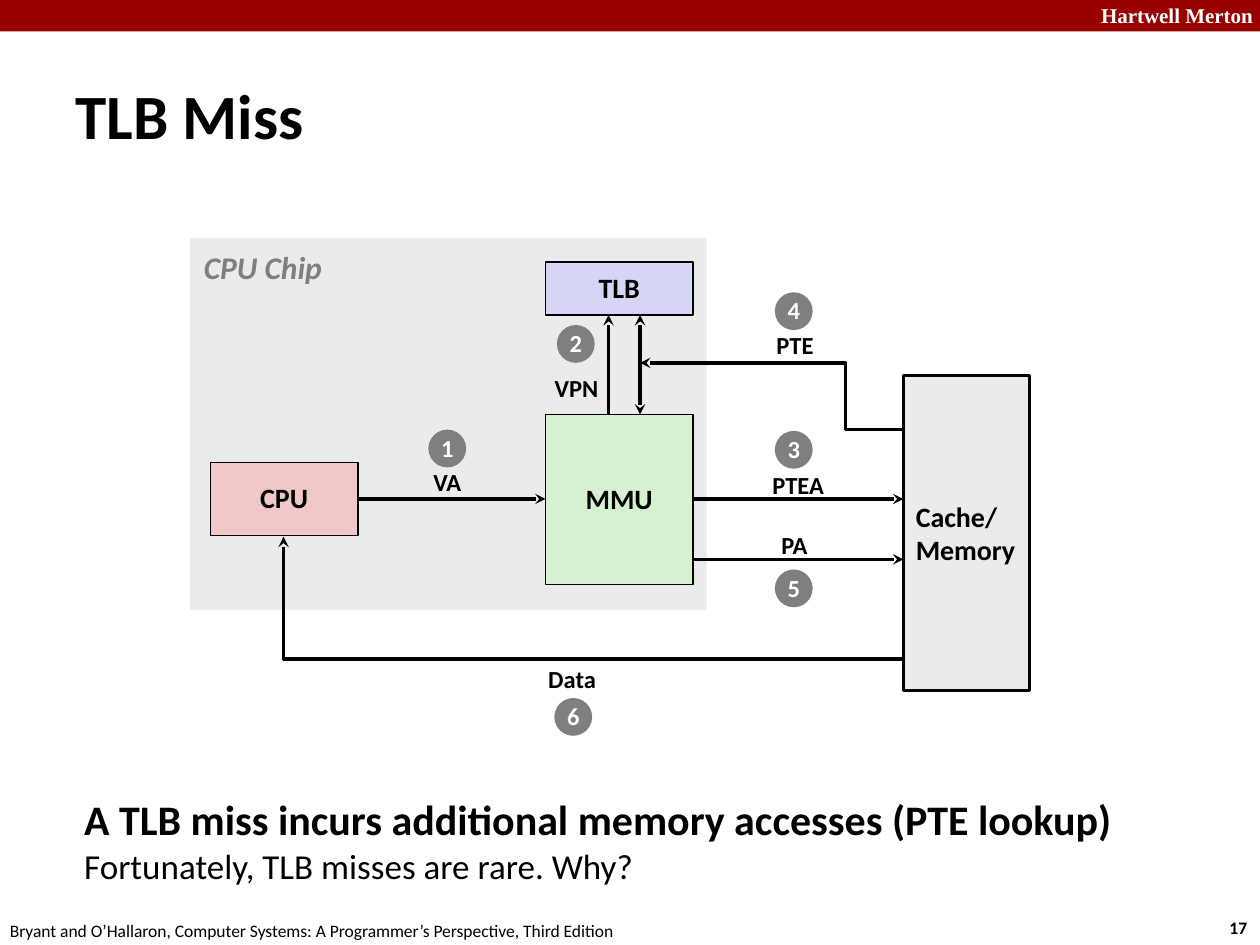
"""Builds a slide on what happens on a TLB miss."""
from lxml.etree import SubElement
from pptx import Presentation
from pptx.dml.color import RGBColor
from pptx.enum.shapes import MSO_CONNECTOR as Connector, MSO_SHAPE as Shape
from pptx.enum.text import MSO_ANCHOR as Anchor, PP_ALIGN as Align
from pptx.oxml.ns import qn
from pptx.util import Inches, Pt

COLORS = {
    "black": "000000",
    "white": "FFFFFF",
    "banner": "990000",
    "panel": "EBEBEB",
    "gray": "7F7F7F",
    "cpu": "F1C7C7",
    "mmu": "D5F1CF",
    "tlb": "D5D5F4",
}


class SlideBuilder:
    font_name = "Calibri"
    line_width = 2
    badge_size = 0.3

    def __init__(self, slide):
        self.slide = slide

    def color(self, name):
        return RGBColor.from_string(COLORS[name])

    def style(self, paragraph, size, color="black", bold=True, italic=False, font=None):
        paragraph.font.name = font or self.font_name
        paragraph.font.size = Pt(size)
        paragraph.font.bold = bold
        paragraph.font.italic = italic
        paragraph.font.color.rgb = self.color(color)

    def fill_text(self, shape, text, size, align=Align.CENTER, wrap=False, **font):
        frame = shape.text_frame
        frame.text = text
        frame.word_wrap = wrap
        for paragraph in frame.paragraphs:
            paragraph.alignment = align
            if align == Align.CENTER:
                paragraph.line_spacing = 0.98
            self.style(paragraph, size, **font)

    def title(self, text, left, top, width, height):
        shape = self.slide.shapes.title
        shape.left, shape.top = Inches(left), Inches(top)
        shape.width, shape.height = Inches(width), Inches(height)
        self.fill_text(shape, text, 36, align=Align.LEFT, wrap=True)
        shape.text_frame.vertical_anchor = Anchor.MIDDLE
        properties = shape.text_frame.paragraphs[0]._p.get_or_add_pPr()
        properties.set("marL", str(Inches(0.13)))
        properties.set("indent", str(-Inches(0.13)))

    def text(self, text, left, top, width, height, size, **options):
        shape = self.slide.shapes.add_textbox(
            Inches(left), Inches(top), Inches(width), Inches(height))
        self.fill_text(shape, text, size, **{"align": Align.LEFT, **options})
        return shape

    def label(self, text, left, top, width):
        shape = self.text(text, left, top, width, 0.33, 14, align=Align.CENTER)
        shape.text_frame.vertical_anchor = Anchor.MIDDLE

    def box(self, left, top, width, height, fill, text="", border=None,
            kind=Shape.RECTANGLE, size=16, **options):
        shape = self.slide.shapes.add_shape(
            kind, Inches(left), Inches(top), Inches(width), Inches(height))
        shape.shadow.inherit = False
        shape.fill.solid()
        shape.fill.fore_color.rgb = self.color(fill)
        if border:
            shape.line.color.rgb = self.color("black")
            shape.line.width = Pt(border)
        else:
            shape.line.fill.background()
        if text:
            self.fill_text(shape, text, size, **options)
            shape.text_frame.vertical_anchor = Anchor.MIDDLE

    def badge(self, number, left, top):
        self.box(left, top, self.badge_size, self.badge_size, "gray", str(number),
                 kind=Shape.OVAL, size=14, color="white")

    def arrow(self, start, end, kind=Connector.STRAIGHT, both=False):
        connector = self.slide.shapes.add_connector(
            kind, *(Inches(value) for value in (*start, *end)))
        connector.line.color.rgb = self.color("black")
        connector.line.width = Pt(self.line_width)
        properties = connector._element.spPr
        line = properties.find(qn("a:ln"))
        for tag in ("a:headEnd", "a:tailEnd") if both else ("a:tailEnd",):
            SubElement(line, qn(tag), type="stealth")
        SubElement(properties, qn("a:effectLst"))
        return connector

    def elbow(self, start, end, preset, bend=None):
        connector = self.arrow(end, start, Connector.ELBOW)
        properties = connector._element.spPr
        properties.find(qn("a:xfrm")).set("rot", str(180 * 60000))
        geometry = properties.find(qn("a:prstGeom"))
        geometry.set("prst", preset)
        if bend is not None:
            guides = geometry.find(qn("a:avLst"))
            if guides is None:
                guides = SubElement(geometry, qn("a:avLst"))
            SubElement(guides, qn("a:gd"), name="adj1", fmla=f"val {round(bend * 100000)}")


def main():
    presentation = Presentation()
    presentation.slide_width, presentation.slide_height = Inches(10), Inches(7.5)
    slide = presentation.slides.add_slide(presentation.slide_layouts[5])
    builder = SlideBuilder(slide)

    builder.box(0, 0, 10, 0.25, "banner")
    builder.text("Hartwell Merton", 8.64, -0.03, 1.43, 0.3, 12,
                 color="white", font="Times New Roman")
    builder.text("17", 9.66, 7.23, 0.37, 0.27, 10)
    builder.text("Bryant and O’Hallaron, Computer Systems: A Programmer’s Perspective, "
                 "Third Edition", -0.02, 7.25, 5.08, 0.27, 10, bold=False)
    builder.title("TLB Miss", 0.5, 0.48, 9.53, 0.86)

    builder.box(1.51, 1.89, 4.1, 2.95, "panel")
    builder.text("CPU Chip", 1.52, 1.92, 1.16, 0.4, 18, color="gray", italic=True)
    builder.box(4.33, 3.29, 1.17, 1.35, "mmu", "MMU", border=1)
    builder.box(7.17, 2.98, 1, 2.5, "panel", "Cache/\nMemory", border=1.5, align=Align.LEFT)
    builder.box(1.67, 3.67, 1.17, 0.58, "cpu", "CPU", border=1)
    builder.box(4.33, 2.08, 1.17, 0.42, "tlb", "TLB", border=1)

    builder.arrow((2.84, 3.96), (4.33, 3.96))
    builder.arrow((5.5, 3.96), (7.17, 3.96))
    builder.arrow((5.5, 4.44), (7.17, 4.44))
    builder.arrow((4.83, 3.29), (4.83, 2.5))
    builder.arrow((5.08, 2.5), (5.08, 3.29), both=True)
    builder.elbow((7.17, 5.23), (2.25, 4.26), "bentConnector2")
    builder.elbow((7.17, 3.41), (5.08, 2.88), "bentConnector3", bend=0.22)

    steps = [
        ("VA", 3.34, 3.67, 0.42, 3.4, 3.41),
        ("VPN", 4.3, 2.92, 0.55, 4.42, 2.58),
        ("PTEA", 6.03, 3.69, 0.61, 6.15, 3.42),
        ("PTE", 6.06, 2.58, 0.5, 6.15, 2.32),
        ("PA", 6.1, 4.17, 0.41, 6.15, 4.52),
        ("Data", 4.25, 5.23, 0.58, 4.4, 5.54),
    ]
    for number, (name, left, top, width, badge_left, badge_top) in enumerate(steps, 1):
        builder.label(name, left, top, width)
        builder.badge(number, badge_left, badge_top)

    summary = builder.text("A TLB miss incurs additional memory accesses (PTE lookup)\n"
                           "Fortunately, TLB misses are rare. Why?",
                           0.57, 6.25, 8.43, 1, 24, wrap=True)
    builder.style(summary.text_frame.paragraphs[1], 20, bold=False)

    presentation.save("out.pptx")


if __name__ == "__main__":
    main()
